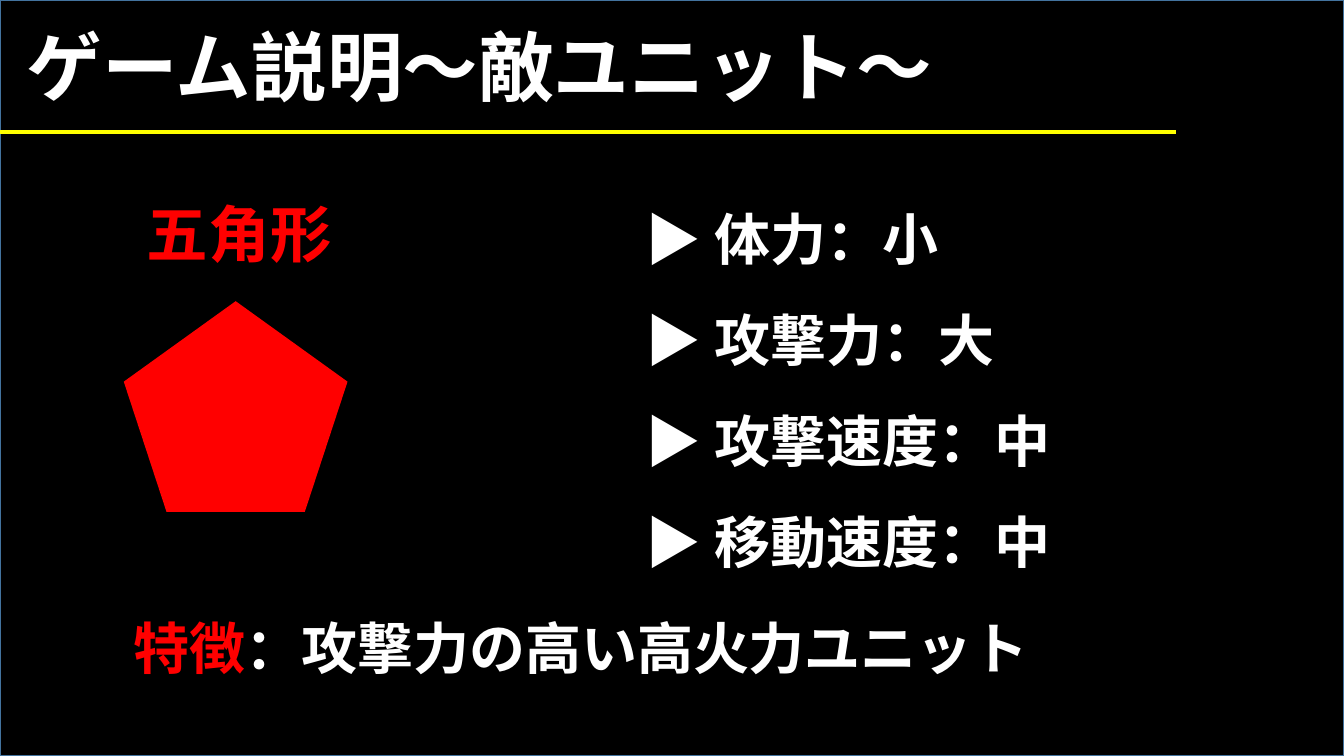
"""Build the game slide that introduces the pentagon enemy unit."""
from lxml import etree
from pptx import Presentation
from pptx.dml.color import RGBColor
from pptx.enum import shapes, text
from pptx.oxml import ns
from pptx.util import Cm, Pt

BLACK = RGBColor(0x00, 0x00, 0x00)
WHITE = RGBColor(0xFF, 0xFF, 0xFF)
RED = RGBColor(0xFF, 0x00, 0x00)
YELLOW = RGBColor(0xFF, 0xFF, 0x00)
BORDER = RGBColor(0x43, 0x73, 0x9E)
FONT = "Noto Sans CJK JP"
WIDTH, HEIGHT = Cm(33.87), Cm(19.05)


def add_run(p, content, size, color):
    """Append a bold run in the slide font."""
    r = p.add_run()
    r.text = content
    r.font.size = Pt(size)
    r.font.bold = True
    r.font.color.rgb = color
    r.font.name = FONT
    ea = etree.SubElement(r.font._element, ns.qn("a:ea"))
    ea.set("typeface", FONT)


def add_text(s, box, size, paragraphs, align=text.PP_ALIGN.LEFT, spacing=None):
    """Add an unwrapped text box; each paragraph is a list of (text, color)."""
    tf = s.shapes.add_textbox(*map(Cm, box)).text_frame
    tf.word_wrap = False
    tf.auto_size = text.MSO_AUTO_SIZE.SHAPE_TO_FIT_TEXT
    for i, runs in enumerate(paragraphs):
        p = tf.add_paragraph() if i else tf.paragraphs[0]
        p.alignment = align
        if spacing:
            p.line_spacing = spacing
        for content, color in runs:
            add_run(p, content, size, color)


def add_figure(s, kind, box, fill, border=None):
    """Add a filled preset shape with an optional thin border."""
    sp = s.shapes.add_shape(kind, *box)
    sp.shadow.inherit = False
    sp.fill.solid()
    sp.fill.fore_color.rgb = fill
    if border is None:
        sp.line.fill.background()
    else:
        sp.line.color.rgb = border
        sp.line.width = Pt(1)


def add_rule(s, y, length):
    """Add the yellow line under the title."""
    line = s.shapes.add_connector(shapes.MSO_CONNECTOR.STRAIGHT, 0, y, length, y)
    line.line.color.rgb = YELLOW
    line.line.width = Pt(3)
    etree.SubElement(line._element.spPr, ns.qn("a:effectLst"))


def main():
    """Compose and save the slide."""
    prs = Presentation()
    prs.slide_width, prs.slide_height = WIDTH, HEIGHT
    s = prs.slides.add_slide(prs.slide_layouts[6])

    add_figure(s, shapes.MSO_SHAPE.RECTANGLE, (0, 0, WIDTH, HEIGHT), BLACK, BORDER)
    add_text(s, (0.43, 0.38, 23.7, 2.57), 54, [[("ゲーム説明～敵ユニット～", WHITE)]])
    add_text(s, (3.43, 4.8, 5.21, 2.13), 44, [[("五角形", RED)]],
             align=text.PP_ALIGN.CENTER)

    stats = [("体力", "小"), ("攻撃力", "大"), ("攻撃速度", "中"), ("移動速度", "中")]
    add_text(s, (16.03, 4.19, 10.9, 10.52), 40,
             [[(f"▶ {name}：{level}", WHITE)] for name, level in stats], spacing=1.5)
    add_text(s, (3.12, 15.34, 23.32, 1.96), 40,
             [[("特徴", RED), ("：攻撃力の高い高火力ユニット", WHITE)]])

    pentagon = map(Cm, (3.12, 7.59, 5.64, 5.31))
    add_figure(s, shapes.MSO_SHAPE.REGULAR_PENTAGON, pentagon, RED)
    add_rule(s, Cm(3.33), Cm(29.64))
    prs.save("out.pptx")


if __name__ == "__main__":
    main()
